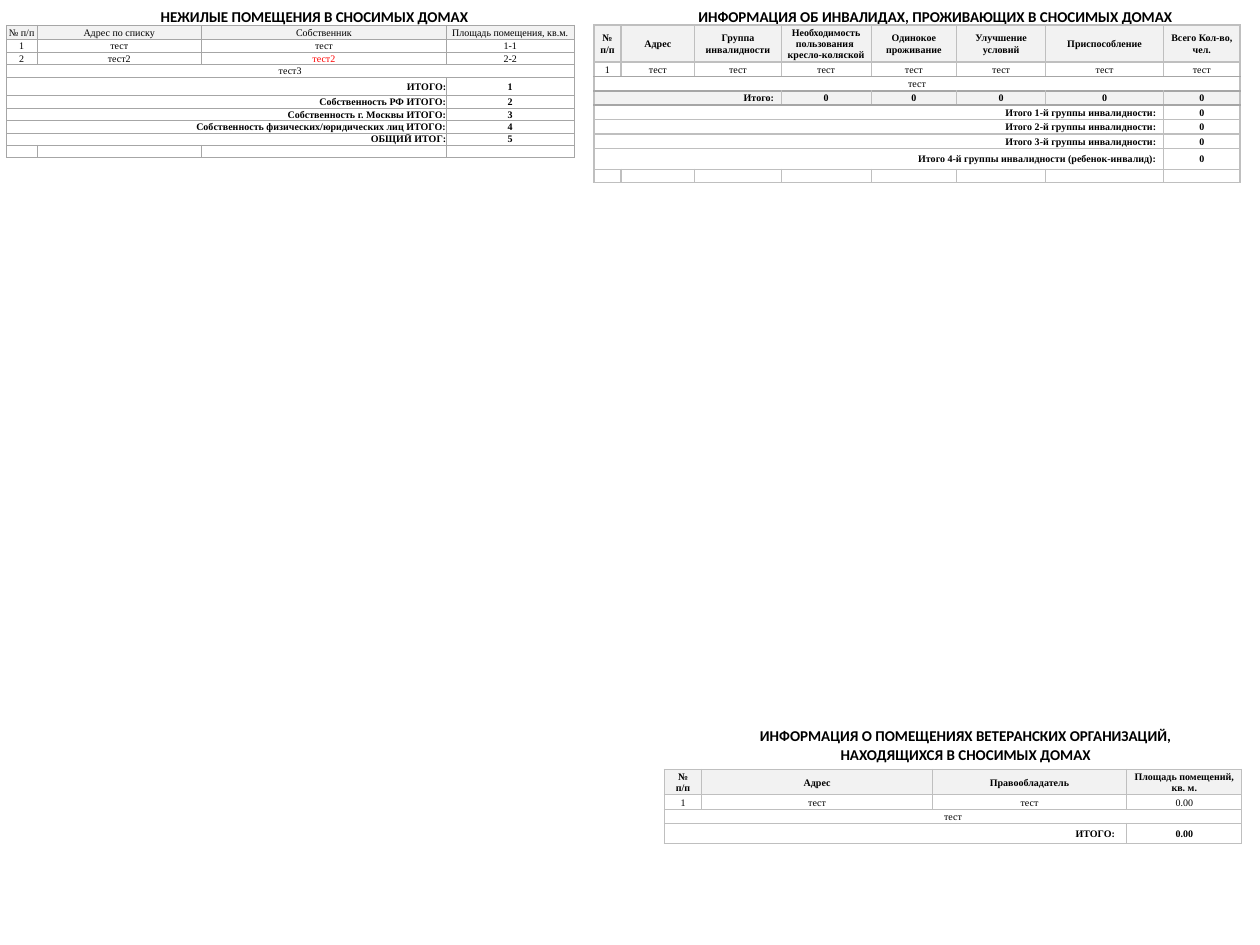
import pptx
import pptx.util
import pptx.dml.color
import pptx.enum.text
import pptx.oxml.ns
from lxml import etree

Inches = pptx.util.Inches
Pt = pptx.util.Pt
Align = pptx.enum.text.PP_ALIGN
Anchor = pptx.enum.text.MSO_ANCHOR
qn = pptx.oxml.ns.qn

HUES = {"ink": "000000", "red": "FF0000", "white": "FFFFFF",
        "shade": "F2F2F2", "dark": "A6A6A6", "light": "BFBFBF"}


def tint(name):
    return pptx.dml.color.RGBColor.from_string(HUES[name])


class Page:
    """Style and current slide, with a method for each kind of element."""

    def __init__(self, deck):
        self.slide = deck.slides.add_slide(deck.slide_layouts[5])

    def font(self, par, face, size, bold, hue="ink"):
        par.font.name = face
        par.font.size = Pt(size)
        par.font.bold = bold
        par.font.color.rgb = tint(hue)

    def head(self, text, box, title=False, pad=(0.1, 0.05), lead=1.07):
        spot = [Inches(v) for v in box]
        if title:
            shape = self.slide.shapes.title
            shape.left, shape.top, shape.width, shape.height = spot
        else:
            shape = self.slide.shapes.add_textbox(*spot)
        frame = shape.text_frame
        frame.text = text
        frame.word_wrap = True
        frame.auto_size = pptx.enum.text.MSO_AUTO_SIZE.NONE
        frame.vertical_anchor = Anchor.TOP
        frame.margin_left = frame.margin_right = Inches(pad[0])
        frame.margin_top = frame.margin_bottom = Inches(pad[1])
        for par in frame.paragraphs:
            par.alignment = Align.CENTER
            par.line_spacing = lead
            par.space_before = Pt(0)
            self.font(par, "Calibri", 12, True)

    def edge(self, cell, lines):
        props = cell._tc.get_or_add_tcPr()
        for spot, (side, (hue, width)) in enumerate(zip("LRTB", lines)):
            line = etree.Element(qn("a:ln" + side), w=str(Pt(width)))
            fill = etree.SubElement(line, qn("a:solidFill"))
            etree.SubElement(fill, qn("a:srgbClr"), val=HUES[hue])
            props.insert(spot, line)

    def cell(self, cell, text, bold, shade, align, pad, hue):
        frame = cell.text_frame
        frame.text = text
        cell.vertical_anchor = Anchor.MIDDLE
        cell.margin_left = cell.margin_top = Inches(0.01)
        cell.margin_right = Inches(pad)
        cell.margin_bottom = 0
        cell.fill.solid()
        cell.fill.fore_color.rgb = tint("shade" if shade else "white")
        for par in frame.paragraphs:
            par.alignment = align
            self.font(par, "Times New Roman", 8, bold, hue)
            if not text:
                etree.SubElement(par._p, qn("a:endParaRPr"), sz="800")

    def table(self, spot, cols, highs, rows, hor, ver, pad=0.01,
              bold=True, shades=(0,), reds=()):
        grid = self.slide.shapes.add_table(
            len(rows), len(cols), Inches(spot[0]), Inches(spot[1]),
            Inches(sum(cols)), Inches(sum(highs))).table
        grid.first_row = grid.horz_banding = False
        for col, width in zip(grid.columns, cols):
            col.width = Inches(width)
        for row, high in zip(grid.rows, highs):
            row.height = Inches(high)
        for y, texts in enumerate(rows):
            span = len(cols) - len(texts) + 1
            total = span > 1 and len(texts) > 1
            full = [texts[0]] + [""] * (span - 1) + texts[1:]
            for x, text in enumerate(full):
                right = total and x == 0
                self.cell(grid.cell(y, x), text, total or (bold and y == 0),
                          y in shades, Align.RIGHT if right else Align.CENTER,
                          pad if right else 0.01,
                          "red" if (y, x) in reds else "ink")
                if x == 0 or x >= span:
                    end = span if x == 0 else x + 1
                    self.edge(grid.cell(y, x),
                              (ver[x], ver[end], hor[y], hor[y + 1]))
            if span > 1:
                grid.cell(y, 0).merge(grid.cell(y, span - 1))


deck = pptx.Presentation()
deck.slide_width = Inches(14)
deck.slide_height = Inches(10.5)
page = Page(deck)

page.head("НЕЖИЛЫЕ ПОМЕЩЕНИЯ В СНОСИМЫХ ДОМАХ", (0.65, 0.08, 5.69, 0.2),
          title=True, pad=(0, 0), lead=1.0)
thin = ("dark", 0.5)
page.table(
    (0.07, 0.28), [0.34, 1.83, 2.72, 1.42],
    [0.16, 0.14, 0.14, 0.14, 0.2, 0.14, 0.14, 0.14, 0.13, 0.14],
    [["№ п/п", "Адрес по списку", "Собственник", "Площадь помещения, кв.м."],
     ["1", "тест", "тест", "1-1"],
     ["2", "тест2", "тест2", "2-2"],
     ["тест3"],
     ["ИТОГО:", "1"],
     ["Собственность РФ ИТОГО:", "2"],
     ["Собственность г. Москвы ИТОГО:", "3"],
     ["Собственность физических/юридических лиц ИТОГО:", "4"],
     ["ОБЩИЙ ИТОГ:", "5"],
     [""] * 4],
    [thin] * 11, [thin] * 5, pad=0, bold=False, reds=[(2, 2)])

page.head("ИНФОРМАЦИЯ ОБ ИНВАЛИДАХ, ПРОЖИВАЮЩИХ В СНОСИМЫХ ДОМАХ",
          (6.85, 0.02, 7.09, 0.31))
fine, thick, deep = ("light", 1), ("light", 1.5), ("dark", 1.5)
groups = ["1-й группы инвалидности:", "2-й группы инвалидности:",
          "3-й группы инвалидности:",
          "4-й группы инвалидности (ребенок-инвалид):"]
page.table(
    (6.6, 0.28), [0.3, 0.82, 0.96, 1, 0.95, 0.99, 1.31, 0.85],
    [0.41] + [0.16] * 6 + [0.23, 0.15],
    [["№\nп/п", "Адрес", "Группа инвалидности",
      "Необходимость пользования \vкресло-коляской", "Одинокое проживание",
      "Улучшение условий", "Приспособление", "Всего Кол-во,\nчел."],
     ["1"] + ["тест"] * 7,
     ["тест"],
     ["Итого:"] + ["0"] * 5]
    + [["Итого " + group, "0"] for group in groups]
    + [[""] * 8],
    [thick] * 2 + [deep] * 3 + [fine] * 5, [thick] + [fine] * 7 + [thick],
    pad=0.08, shades=(0, 3))

page.head("ИНФОРМАЦИЯ О ПОМЕЩЕНИЯХ ВЕТЕРАНСКИХ ОРГАНИЗАЦИЙ,\n"
          "НАХОДЯЩИХСЯ В СНОСИМЫХ ДОМАХ", (7.52, 8.01, 6.42, 0.53))
page.table(
    (7.38, 8.55), [0.42, 2.56, 2.16, 1.28], [0.28, 0.17, 0.15, 0.22],
    [["№\nп/п", "Адрес", "Правообладатель", "Площадь помещений, кв. м."],
     ["1", "тест", "тест", "0.00"],
     ["тест"],
     ["ИТОГО:", "0.00"]],
    [fine] * 5, [fine] * 5, pad=0.13)

deck.save("out.pptx")
